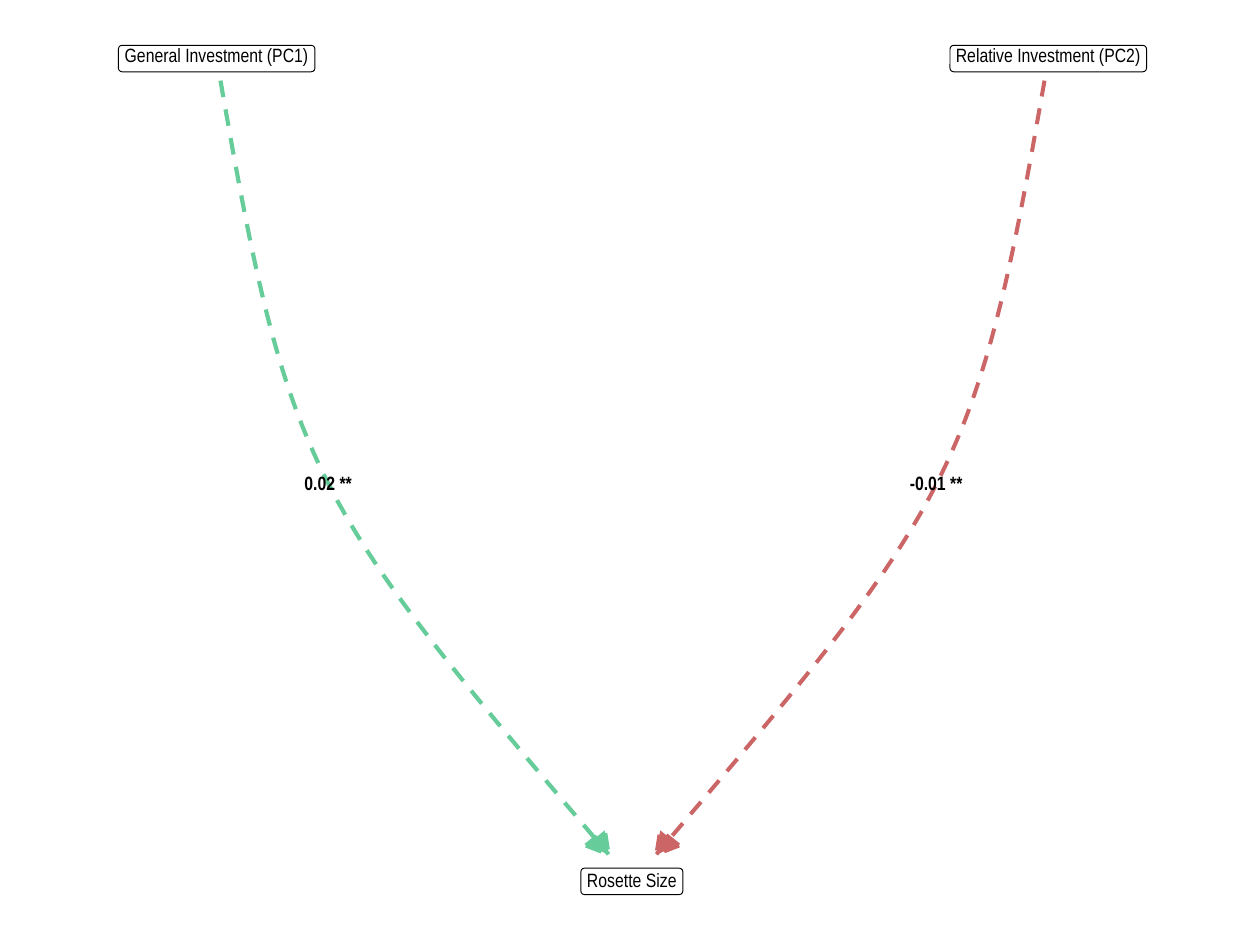
from pptx import Presentation, util as u
from pptx.dml.color import RGBColor
from pptx.enum import dml, shapes, text

WHITE = RGBColor(0xFF, 0xFF, 0xFF)
BLACK = RGBColor(0x00, 0x00, 0x00)
GREEN = RGBColor(0x66, 0xCC, 0x99)
RED = RGBColor(0xCC, 0x66, 0x66)

MIRROR_SUM = 10.04
CURVE_STEPS = 96
CURVE_CONTROLS = [(1.75, 0.64), (2.29, 3.75), (2.46, 4.0), (4.83, 6.78)]
HEAD_POINTS = [(4.65, 6.71), (4.83, 6.78), (4.8, 6.59)]


def bezier(controls, steps):
    """Return evenly sampled points of a cubic curve."""
    points = []
    for step in range(steps + 1):
        t = step / steps
        weights = ((1 - t) ** 3, 3 * t * (1 - t) ** 2, 3 * t * t * (1 - t), t ** 3)
        points.append(tuple(
            sum(weight * control[axis] for weight, control in zip(weights, controls))
            for axis in (0, 1)
        ))
    return points


def mirror(points):
    """Return the points reflected across the diagram's vertical axis."""
    return [(MIRROR_SUM - x, y) for x, y in points]


def write_text(shape, content, *, size=11, bold=False, color=BLACK, font="Arial Narrow"):
    """Write one centred line of formatted text into a shape."""
    frame = shape.text_frame
    frame.margin_left = frame.margin_right = frame.margin_top = frame.margin_bottom = 0
    frame.word_wrap = False
    frame.vertical_anchor = text.MSO_ANCHOR.MIDDLE
    paragraph = frame.paragraphs[0]
    paragraph.alignment = text.PP_ALIGN.CENTER
    paragraph.line_spacing = u.Pt(size)
    run = paragraph.add_run()
    run.text = content
    run.font.name = font
    run.font.size = u.Pt(size)
    run.font.bold = bold
    run.font.color.rgb = color


class PathDiagram:
    """Draws the elements of a path diagram on one slide."""

    def __init__(self, slide):
        self.slide = slide

    def style(self, shape, fill, line, width, dashed=False):
        shape.shadow.inherit = False
        if fill is None:
            shape.fill.background()
        else:
            shape.fill.solid()
            shape.fill.fore_color.rgb = fill
        shape.line.color.rgb = line
        shape.line.width = u.Pt(width)
        if dashed:
            shape.line.dash_style = dml.MSO_LINE.DASH

    def box(self, kind, left, top, width, height, line, line_width):
        shape = self.slide.shapes.add_shape(
            kind, u.Inches(left), u.Inches(top), u.Inches(width), u.Inches(height))
        self.style(shape, WHITE, line, line_width)
        return shape

    def outline(self, points, color, width, closed=False):
        start, *rest = [(u.Inches(x), u.Inches(y)) for x, y in points]
        builder = self.slide.shapes.build_freeform(*start)
        builder.add_line_segments(rest, close=closed)
        shape = builder.convert_to_shape()
        self.style(shape, color if closed else None, color, width, dashed=True)

    def arrow(self, curve, head, color, width):
        self.outline(curve, color, width)
        self.outline(head, color, width, closed=True)

    def label(self, content, left, top, width, height, **format_options):
        shape = self.slide.shapes.add_textbox(
            u.Inches(left), u.Inches(top), u.Inches(width), u.Inches(height))
        write_text(shape, content, **format_options)

    def node(self, content, left, top, width, text_top, text_height):
        shape = self.box(shapes.MSO_SHAPE.ROUNDED_RECTANGLE,
                         left, top, width, 0.21, BLACK, 0.53)
        shape.adjustments[0] = 0.14
        self.label(content, left + 0.03, text_top, width - 0.06, text_height)


def main():
    """Build the slide and save it."""
    presentation = Presentation()
    presentation.slide_width = u.Inches(10)
    presentation.slide_height = u.Inches(7.5)
    diagram = PathDiagram(presentation.slides.add_slide(presentation.slide_layouts[6]))

    diagram.box(shapes.MSO_SHAPE.RECTANGLE, 0, 0, 10, 7.5, WHITE, 0.75)
    curve = bezier(CURVE_CONTROLS, CURVE_STEPS)
    diagram.arrow(curve, HEAD_POINTS, GREEN, 2.37)
    diagram.arrow(mirror(curve), mirror(HEAD_POINTS), RED, 2.29)

    diagram.label("0.02 **", 2.41, 3.79, 0.39, 0.11, bold=True)
    diagram.label("-0.01 **", 7.22, 3.79, 0.42, 0.11, bold=True)

    diagram.node("General Investment (PC1)", 0.94, 0.36, 1.56, 0.38, 0.14)
    diagram.node("Relative Investment (PC2)", 7.54, 0.36, 1.56, 0.38, 0.14)
    diagram.node("Rosette Size", 4.61, 6.89, 0.81, 6.94, 0.11)

    presentation.save("out.pptx")


if __name__ == "__main__":
    main()
